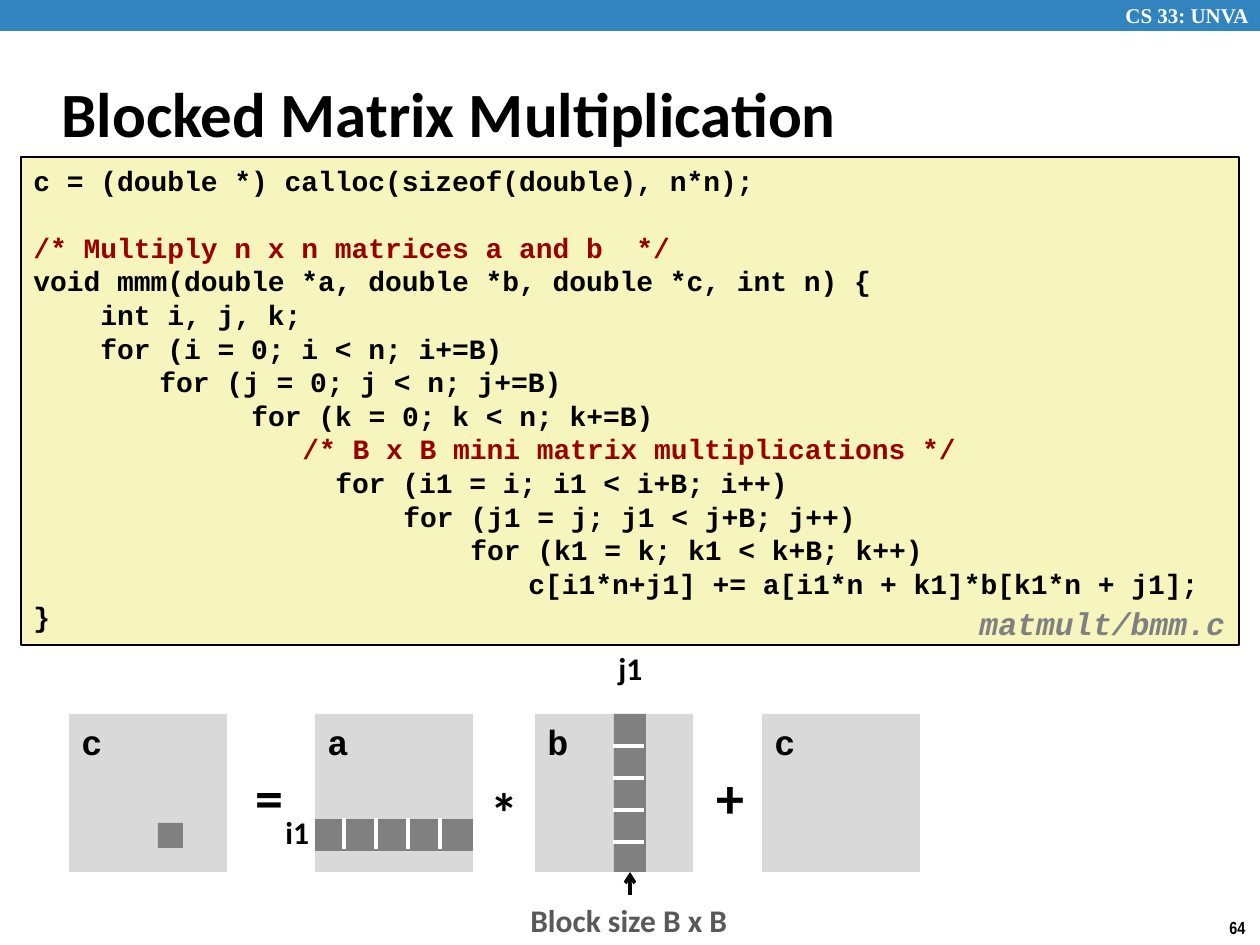
from dataclasses import dataclass
from typing import NamedTuple

from pptx import Presentation
from pptx.dml.color import RGBColor
from pptx.enum.shapes import MSO_CONNECTOR, MSO_SHAPE
from pptx.enum.text import MSO_ANCHOR as Anchor, MSO_AUTO_SIZE as Fit, PP_ALIGN as Align
from pptx.oxml.ns import qn
from pptx.oxml.xmlchemy import OxmlElement as Element
from pptx.util import Emu, Pt

SCALE = 914400 / 126


def px(n: int) -> Emu:
    return Emu(round(n * SCALE))


@dataclass(frozen=True)
class Theme:
    sans: str = "Calibri"
    mono: str = "Courier New"
    serif: str = "Times New Roman"
    narrow: str = "Arial Narrow"
    black: str = "000000"
    white: str = "FFFFFF"
    blue: str = "3284BF"
    cream: str = "F6F5BD"
    red: str = "990000"
    pale: str = "D9D9D9"
    gray: str = "808080"
    dark: str = "595959"
    title: int = 36
    sign: int = 32
    name: int = 20
    label: int = 18
    code: int = 16
    head: int = 12
    page: int = 10
    pitch: float = 19.2


T = Theme()


class Box(NamedTuple):
    x: int
    y: int
    w: int
    h: int


class Label(NamedTuple):
    text: str
    box: Box
    size: int
    font: str = T.sans
    color: str = T.black
    italic: bool = False


class Line(NamedTuple):
    """A line of code, its indent in px and the blank lines above it."""
    text: str
    indent: int = 0
    color: str = T.black
    gap: int = 0


CODE = [
    Line("c = (double *) calloc(sizeof(double), n*n);"),
    Line("/* Multiply n x n matrices a and b  */", 0, T.red, 1),
    Line("void mmm(double *a, double *b, double *c, int n) {"),
    Line("int i, j, k;", 67),
    Line("for (i = 0; i < n; i+=B)", 67),
    Line("for (j = 0; j < n; j+=B)", 126),
    Line("for (k = 0; k < n; k+=B)", 218),
    Line("/* B x B mini matrix multiplications */", 269, T.red),
    Line("for (i1 = i; i1 < i+B; i++)", 302),
    Line("for (j1 = j; j1 < j+B; j++)", 370),
    Line("for (k1 = k; k1 < k+B; k++)", 437),
    Line("c[i1*n+j1] += a[i1*n + k1]*b[k1*n + j1];", 495),
    Line("}"),
]
TOP, SIDE, CELL = 714, 158, 32
MATS = [("c", 69), ("a", 315), ("b", 535), ("c", 762)]
ROW = Box(315, 819, SIDE, CELL)
COL = Box(614, TOP, CELL, SIDE)
LABELS = [
    Label("CS 33: UNVA", Box(1113, -4, 156, 38), T.head, T.serif, T.white),
    Label("64", Box(1217, 911, 43, 34), T.page, T.narrow),
    Label("matmult/bmm.c", Box(967, 598, 281, 49), T.label, T.mono, T.gray, True),
    Label("i1", Box(273, 807, 49, 50), T.label),
    Label("j1", Box(606, 643, 49, 50), T.label),
    Label("=", Box(243, 756, 54, 81), T.sign),
    Label("*", Box(478, 771, 54, 81), T.sign),
    Label("+", Box(704, 756, 54, 81), T.sign),
    Label("Block size B x B", Box(518, 895, 224, 50), T.label, color=T.dark),
]


def style(par, size: int, font: str, color: str = T.black, italic: bool = False) -> None:
    par.alignment = Align.LEFT
    face = par.font
    face.size, face.name, face.bold, face.italic = Pt(size), font, True, italic
    face.color.rgb = RGBColor.from_string(color)


def rect(shapes, box: Box, fill: str, edge: str = ""):
    shape = shapes.add_shape(MSO_SHAPE.RECTANGLE, *map(px, box))
    shape.shadow.inherit = False
    shape.fill.solid()
    shape.fill.fore_color.rgb = RGBColor.from_string(fill)
    if edge:
        shape.line.color.rgb = RGBColor.from_string(edge)
        shape.line.width = Pt(1)
    else:
        shape.line.fill.background()
    shape.text_frame.vertical_anchor = Anchor.TOP
    return shape


def write(shapes, label: Label) -> None:
    frame = shapes.add_textbox(*map(px, label.box)).text_frame
    frame.word_wrap = False
    frame.text = label.text
    style(frame.paragraphs[0], label.size, label.font, label.color, label.italic)


def stroke(shapes, x1: int, y1: int, x2: int, y2: int, color: str, arrow: bool = False) -> None:
    line = shapes.add_connector(MSO_CONNECTOR.STRAIGHT, *map(px, (x1, y1, x2, y2)))
    line.line.color.rgb = RGBColor.from_string(color)
    line.line.width = Pt(2)
    props = line._element.spPr
    if arrow:
        tail = Element("a:tailEnd")
        tail.set("type", "arrow")
        props.find(qn("a:ln")).append(tail)
    props.append(Element("a:effectLst"))


def head(title) -> None:
    title.left, title.top, title.width, title.height = map(px, (49, 60, 1046, 105))
    frame = title.text_frame
    frame.text = "Blocked Matrix Multiplication"
    frame.vertical_anchor, frame.auto_size = Anchor.MIDDLE, Fit.NONE
    style(frame.paragraphs[0], T.title, T.sans)


def listing(shapes) -> None:
    frame = rect(shapes, Box(21, 157, 1218, 488), T.cream, T.black).text_frame
    frame.word_wrap = True
    frame.text = "\n".join(line.text for line in CODE)
    for par, line in zip(frame.paragraphs, CODE):
        style(par, T.code, T.mono, line.color)
        par.line_spacing = Pt(T.pitch)
        par.space_before = Pt(line.gap * T.pitch)
        par._p.get_or_add_pPr().set("marL", str(px(line.indent)))


def diagram(shapes) -> None:
    for name, x in MATS:
        frame = rect(shapes, Box(x, TOP, SIDE, SIDE), T.pale).text_frame
        frame.text = name
        style(frame.paragraphs[0], T.name, T.mono)
    for box in (Box(158, 823, 25, 25), ROW, COL):
        rect(shapes, box, T.gray)
    for i in range(4):
        x, y = 344 + i * CELL, 746 + i * CELL
        stroke(shapes, x, ROW.y - 1, x, ROW.y + CELL - 2, T.white)
        stroke(shapes, COL.x - 1, y, COL.x + CELL - 2, y, T.white)
    stroke(shapes, 630, 895, 630, 872, T.black, arrow=True)


def main() -> None:
    deck = Presentation()
    deck.slide_width, deck.slide_height = px(1260), px(945)
    slide = deck.slides.add_slide(deck.slide_layouts[5])
    shapes = slide.shapes
    rect(shapes, Box(0, 0, 1260, 31), T.blue)
    head(shapes.title)
    listing(shapes)
    diagram(shapes)
    for label in LABELS:
        write(shapes, label)
    deck.save("out.pptx")


if __name__ == "__main__":
    main()
